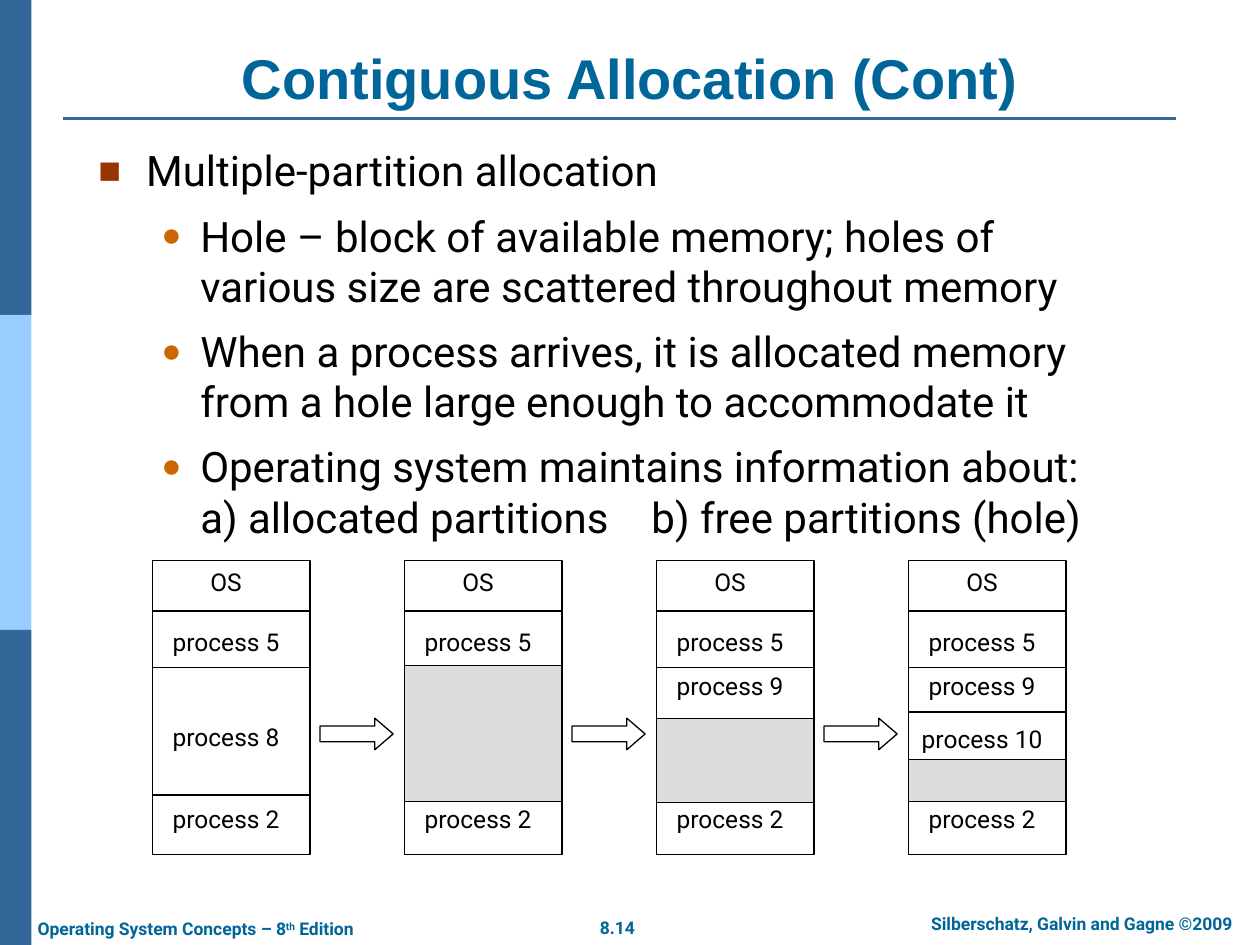
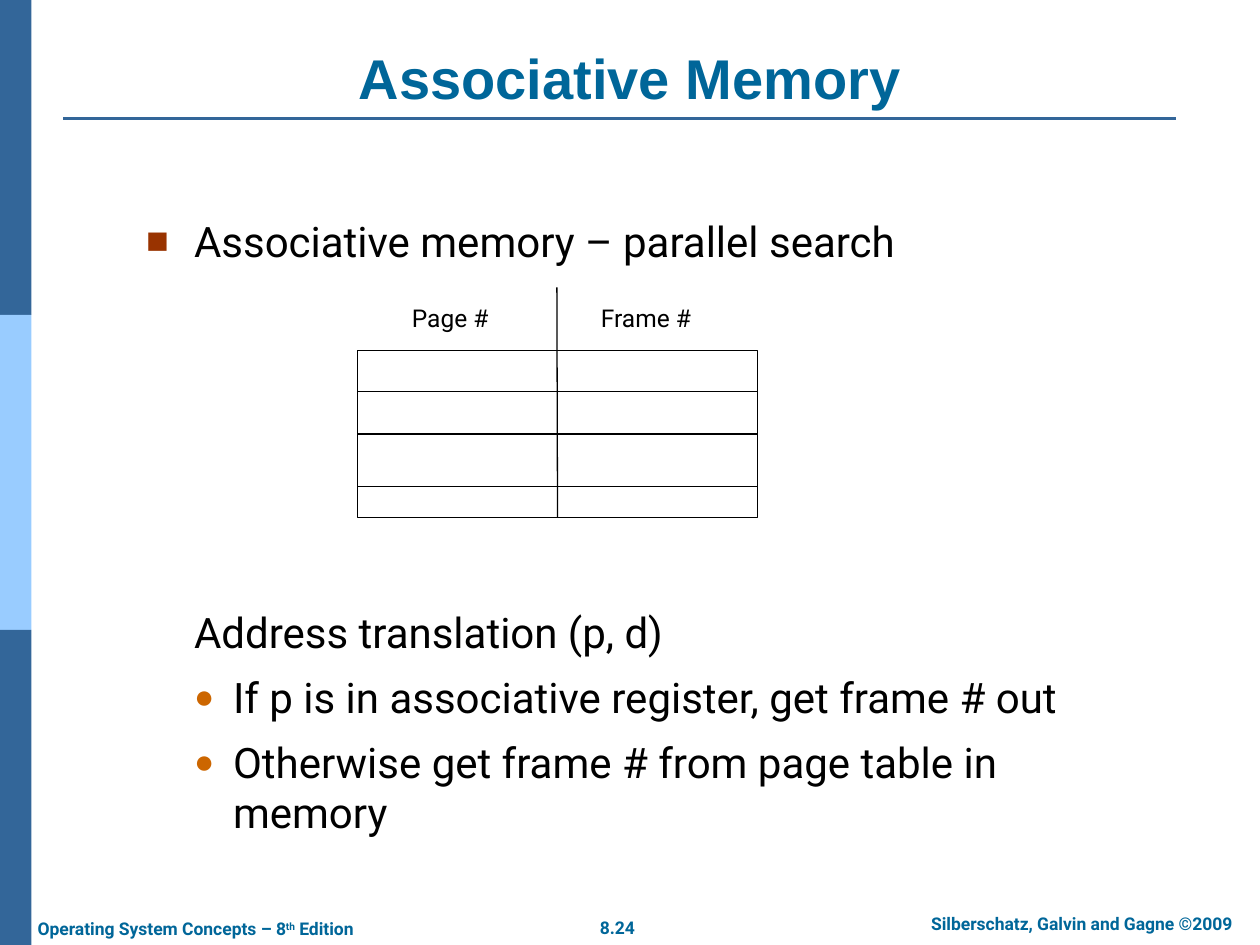
from lxml import etree
from pptx import Presentation
from pptx.dml.color import RGBColor
from pptx.enum.shapes import MSO_CONNECTOR, MSO_SHAPE
from pptx.enum.text import MSO_ANCHOR, MSO_AUTO_SIZE, PP_ALIGN
from pptx.oxml.ns import qn
from pptx.util import Inches, Pt

RECT, ARROW = MSO_SHAPE.RECTANGLE, MSO_SHAPE.RIGHT_ARROW
STRAIGHT = MSO_CONNECTOR.STRAIGHT
TOP, MIDDLE, BOTTOM = MSO_ANCHOR.TOP, MSO_ANCHOR.MIDDLE, MSO_ANCHOR.BOTTOM
LEFT, CENTER = PP_ALIGN.LEFT, PP_ALIGN.CENTER
NO_FIT = MSO_AUTO_SIZE.NONE

COLORS = {
    "band": "336699", "band_light": "99CCFF", "title": "006699",
    "text": "000000", "paper": "FFFFFF", "hole": "DDDDDD",
    "square": "993300", "dot": "CC6600",
}
RGB = {name: RGBColor.from_string(value) for name, value in COLORS.items()}
BULLETS = {"square": ("■", 90000), "dot": ("●", 80000)}


def add_box(s, kind, x, y, w, h, fill, line=None):
    sp = s.shapes.add_shape(kind, Inches(x), Inches(y), Inches(w), Inches(h))
    sp.shadow.inherit = False
    sp.fill.solid()
    sp.fill.fore_color.rgb = RGB[fill]
    if line:
        sp.line.color.rgb = RGB[line]
        sp.line.width = Pt(0.75)
    else:
        sp.line.fill.background()
    return sp


def add_text(s, x, y, w, h, runs, size=14, color="text", bold=False, align=CENTER, anchor=MIDDLE):
    tf = s.shapes.add_textbox(Inches(x), Inches(y), Inches(w), Inches(h)).text_frame
    tf.word_wrap = True
    tf.vertical_anchor = anchor
    p = tf.paragraphs[0]
    p.alignment = align
    for text, baseline in runs:
        r = p.add_run()
        r.text = text
        r.font.name = "Roboto"
        r.font.size = Pt(size)
        r.font.bold = bold
        r.font.color.rgb = RGB[color]
        if baseline:
            r._r.get_or_add_rPr().set("baseline", str(baseline * 1000))


prs = Presentation()
prs.slide_width, prs.slide_height = Inches(10), Inches(7.5)

slides = [
    ("Contiguous Allocation (Cont)", "8.14", (0.68, 1.1, 8.04, 2.85), [
        ("square", 0.38, 8.4, "Multiple-partition allocation"),
        ("dot", 0.81, 8.4, "Hole – block of available memory; holes of various size are scattered throughout memory"),
        ("dot", 0.81, 8.4, "When a process arrives, it is allocated memory from a hole large enough to accommodate it"),
        ("dot", 0.81, 8.4, "Operating system maintains information about:\na) allocated partitions\tb) free partitions (hole)"),
    ]),
    ("Associative Memory", "8.24", (1.06, 1.66, 8.04, 4.9), [
        ("square", 0.38, 8.4, "Associative memory – parallel search"),
        (None, 0.38, 194.5, "Address translation (p, d)"),
        ("dot", 0.69, 8.4, "If p is in associative register, get frame # out"),
        ("dot", 0.69, 8.4, "Otherwise get frame # from page table in memory"),
    ]),
]

lines = []
for title, number, place, items in slides:
    s = prs.slides.add_slide(prs.slide_layouts[1])
    for i, fill in enumerate(("band", "band_light", "band")):
        add_box(s, RECT, 0, 2.5 * i, 0.25, 2.5, fill)
    rule = s.shapes.add_connector(STRAIGHT, Inches(0.5), Inches(0.94), Inches(9.33), Inches(0.94))
    rule.line.color.rgb = RGB["band"]
    rule.line.width = Pt(1.5)
    lines.append(rule)

    footers = [
        (4.5, 7.23, 0.8, [(number, 0)], CENTER),
        (7.1, 7.2, 2.97, [("Silberschatz, Galvin and Gagne ©2009", 0)], CENTER),
        (0.2, 7.24, 2.88, [("Operating System Concepts – 8", 0), ("th", 30), (" Edition", 0)], LEFT),
    ]
    for x, y, w, runs, align in footers:
        add_text(s, x, y, w, 0.27, runs, 10, "title", True, align, TOP)

    body = s.placeholders[1]
    for sp, box in ((s.shapes.title, (0.5, 0.3, 9, 0.63)), (body, place)):
        sp.left, sp.top, sp.width, sp.height = [Inches(v) for v in box]
        sp.text_frame.auto_size = NO_FIT
        sp.text_frame.word_wrap = True
    tf = s.shapes.title.text_frame
    tf.vertical_anchor = BOTTOM
    p = tf.paragraphs[0]
    p.alignment = CENTER
    r = p.add_run()
    r.text = title
    r.font.name, r.font.size, r.font.bold = "Arial", Pt(32), True
    r.font.color.rgb = RGB["title"]

    tf = body.text_frame
    tf.vertical_anchor = TOP
    for i, (bullet, margin, space, text) in enumerate(items):
        p = tf.add_paragraph() if i else tf.paragraphs[0]
        p.level = 1 if bullet == "dot" else 0
        p.space_before = Pt(space if i else 0)
        hang = {"square": 0.38, "dot": 0.31, None: 0}[bullet]
        pPr = p._p.get_or_add_pPr()
        pPr.set("marL", str(Inches(margin)))
        pPr.set("indent", str(-Inches(hang)))
        if bullet:
            char, percent = BULLETS[bullet]
            color = etree.SubElement(pPr, qn("a:buClr"))
            etree.SubElement(color, qn("a:srgbClr"), val=COLORS[bullet])
            etree.SubElement(pPr, qn("a:buSzPct"), val=str(percent))
            etree.SubElement(pPr, qn("a:buFont"), typeface="Arial")
            etree.SubElement(pPr, qn("a:buChar"), char=char)
        else:
            etree.SubElement(pPr, qn("a:buNone"))
        if "\t" in text:
            tabs = etree.SubElement(pPr, qn("a:tabLst"))
            etree.SubElement(tabs, qn("a:tab"), pos=str(Inches(4.39)), algn="l")
        for j, part in enumerate(text.split("\n")):
            if j:
                p.add_line_break()
            r = p.add_run()
            r.text = part
            r.font.name, r.font.size = "Roboto", Pt(24)
            r.font.color.rgb = RGB["text"]

allocation, associative = prs.slides

COLUMN_LEFT, COLUMN_STEP, COLUMN_WIDTH = 1.21, 2, 1.25
ROW_LINES = [4.85, 5.3, 6.31]
memory_states = [
    ([("process 8", 5.68)], [], None),
    ([], [], (5.28, 1.08)),
    ([("process 9", 5.28)], [], (5.7, 0.67)),
    ([("process 9", 5.28), ("process 10", 5.7)], [5.65], (6.03, 0.33)),
]
for i, (labels, extra_lines, hole) in enumerate(memory_states):
    x = COLUMN_LEFT + COLUMN_STEP * i
    add_box(allocation, RECT, x, 4.45, COLUMN_WIDTH, 2.33, "paper", "text")
    for y in ROW_LINES + extra_lines:
        lines.append(allocation.shapes.add_connector(
            STRAIGHT, Inches(x), Inches(y), Inches(x + COLUMN_WIDTH), Inches(y)))
    if hole:
        add_box(allocation, RECT, x, hole[0], COLUMN_WIDTH, hole[1], "hole", "text")
    for label, y in [("OS", 4.45), ("process 5", 4.93), *labels, ("process 2", 6.33)]:
        add_text(allocation, x, y, 1.17, 0.33, [(label, 0)])
    if i:
        arrow = add_box(allocation, ARROW, x - 0.67, 5.7, 0.58, 0.25, "paper", "text")
        arrow.adjustments[0] = 0.5
        arrow.adjustments[1] = 0.58

table_box = add_box(associative, RECT, 2.84, 2.78, 3.17, 1.33, "paper", "text")
divider = associative.shapes.add_connector(STRAIGHT, Inches(4.42), Inches(2.28), Inches(4.42), Inches(4.11))
divider.end_connect(table_box, 2)
lines.append(divider)
for y in (3.11, 3.45, 3.86):
    row = associative.shapes.add_connector(STRAIGHT, Inches(2.84), Inches(y), Inches(6.01), Inches(y))
    if y == 3.45:
        row.begin_connect(table_box, 1)
        row.end_connect(table_box, 3)
    lines.append(row)
for label, x in (("Page #", 3.17), ("Frame #", 4.67)):
    add_text(associative, x, 2.36, 1.42, 0.33, [(label, 0)], align=LEFT)

for line in lines:
    etree.SubElement(line._element.spPr, qn("a:effectLst"))
    if line.width != Inches(8.83):
        line.line.color.rgb = RGB["text"]
        line.line.width = Pt(0.75)

prs.save("out.pptx")
